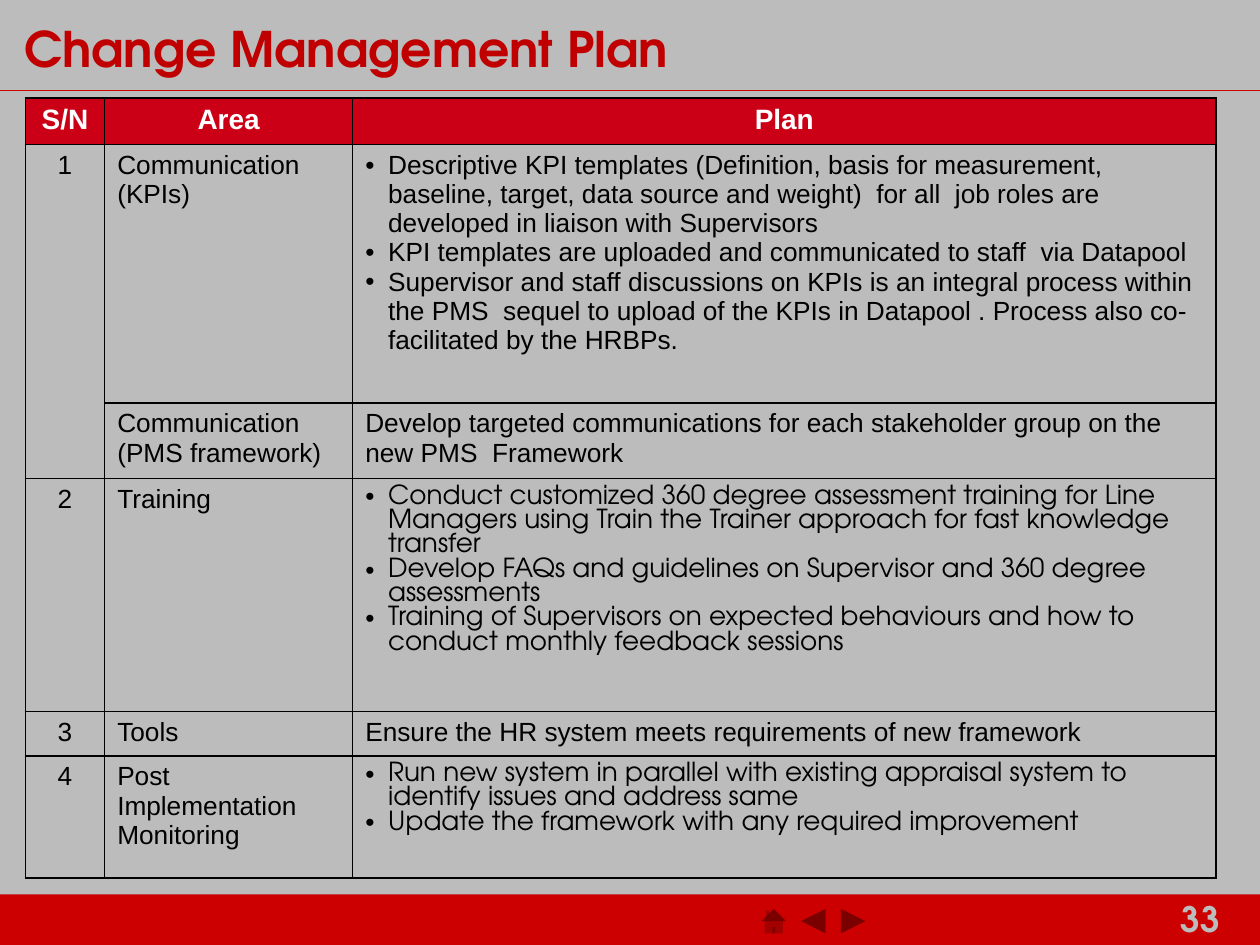
from dataclasses import dataclass

from lxml.etree import SubElement
from pptx import Presentation
from pptx.dml.color import RGBColor
from pptx.enum.shapes import MSO_CONNECTOR, MSO_SHAPE
from pptx.enum.text import MSO_ANCHOR, PP_ALIGN
from pptx.oxml import parse_xml
from pptx.oxml.ns import nsdecls, qn
from pptx.util import Cm, Pt

HUES = {
    "page": "BCBCBC",
    "bar": "CC0000",
    "title": "C00000",
    "head": "CB0017",
    "white": "FFFFFF",
    "black": "000000",
}
SANS = "Arial"
ROUND = "TeX Gyre Adventor"
COLS = (1.6, 5, 17.4)
BUTTONS = (
    MSO_SHAPE.ACTION_BUTTON_HOME,
    MSO_SHAPE.ACTION_BUTTON_FORWARD_OR_NEXT,
    MSO_SHAPE.ACTION_BUTTON_BACK_OR_PREVIOUS,
    MSO_SHAPE.ACTION_BUTTON_CUSTOM,
)


@dataclass
class Row:
    num: str
    area: str
    plan: tuple[str, ...]
    high: float
    font: str = SANS
    dots: bool = False
    head: bool = False


ROWS = (
    Row("S/N", "Area", ("Plan",), 0.91, head=True),
    Row("1", "Communication (KPIs)", (
        "Descriptive KPI templates (Definition, basis for measurement, baseline, "
        "target, data source and weight)  for all  job roles are developed in "
        "liaison with Supervisors",
        "KPI templates are uploaded and communicated to staff  via Datapool",
        "Supervisor and staff discussions on KPIs is an integral process within "
        "the PMS  sequel to upload of the KPIs in Datapool . Process also "
        "co-facilitated by the HRBPs.",
    ), 5.21, dots=True),
    Row("", "Communication (PMS framework)", (
        "Develop targeted communications for each stakeholder group on the new "
        "PMS  Framework",
    ), 1.5),
    Row("2", "Training", (
        "Conduct customized 360 degree assessment training for Line Managers "
        "using Train the Trainer approach for fast knowledge transfer",
        "Develop FAQs and guidelines on Supervisor and 360 degree assessments",
        "Training of Supervisors on expected behaviours and how to conduct "
        "monthly feedback sessions",
    ), 4.6, ROUND, True),
    Row("3", "Tools", ("Ensure the HR system meets requirements of new framework",), 0.86),
    Row("4", "Post Implementation Monitoring", (
        "Run new system in parallel with existing appraisal system to identify "
        "issues and address same",
        "Update the framework with any required improvement",
    ), 2.46, ROUND, True),
)


def tint(name: str) -> RGBColor:
    return RGBColor.from_string(HUES[name])


def write(frame, *lines: str, font=SANS, size=15, hue="black", bold=False,
          align=PP_ALIGN.LEFT, dots=False, lead=None) -> None:
    frame.word_wrap = True
    for i, line in enumerate(lines):
        para = frame.paragraphs[0] if i == 0 else frame.add_paragraph()
        para.alignment = align
        if lead:
            para.line_spacing = lead
        if dots:
            props = para._p.get_or_add_pPr()
            props.set("marL", str(Cm(0.46)))
            props.set("indent", str(-Cm(0.46)))
            SubElement(props, qn("a:buFont")).set("typeface", SANS)
            SubElement(props, qn("a:buChar")).set("char", "•")
        run = para.add_run()
        run.text = line
        run.font.name = font
        run.font.size = Pt(size)
        run.font.bold = bold
        run.font.color.rgb = tint(hue)


def block(slide, kind, left: float, top: float, wide: float, high: float):
    shape = slide.shapes.add_shape(kind, Cm(left), Cm(top), Cm(wide), Cm(high))
    shape.shadow.inherit = False
    shape.fill.solid()
    shape.fill.fore_color.rgb = tint("bar")
    shape.line.fill.background()
    return shape


def frame_cell(cell) -> None:
    props = cell._tc.get_or_add_tcPr()
    for i, side in enumerate(("lnL", "lnR", "lnT", "lnB")):
        props.insert(i, parse_xml(
            f'<a:{side} {nsdecls("a")} w="{Pt(1)}"><a:solidFill>'
            f'<a:srgbClr val="{HUES["black"]}"/></a:solidFill></a:{side}>'))


def fill_row(table, i: int, row: Row) -> None:
    table.rows[i].height = Cm(row.high)
    look = {"size": 16, "hue": "white", "bold": True} if row.head else {}
    mid = PP_ALIGN.CENTER
    side = mid if row.head else PP_ALIGN.LEFT
    num, area, plan = (table.cell(i, j) for j in range(len(COLS)))
    for cell in (num, area, plan):
        if row.head:
            cell.fill.solid()
            cell.fill.fore_color.rgb = tint("head")
        else:
            cell.fill.background()
        frame_cell(cell)
    if row.num:
        write(num.text_frame, row.num, align=mid, **look)
    write(area.text_frame, row.area, align=side, **look)
    write(plan.text_frame, *row.plan, align=side, font=row.font, dots=row.dots, **look)


def add_plan(slide) -> None:
    table = slide.shapes.add_table(
        len(ROWS), len(COLS), Cm(0.51), Cm(1.98),
        Cm(sum(COLS)), Cm(sum(row.high for row in ROWS))).table
    table.first_row = table.horz_banding = False
    for col, wide in zip(table.columns, COLS):
        col.width = Cm(wide)
    for i, row in enumerate(ROWS):
        fill_row(table, i, row)
    table.cell(1, 0).merge(table.cell(2, 0))


def add_base(slide) -> None:
    block(slide, MSO_SHAPE.RECTANGLE, 0, 18.03, 25.4, 1.02)
    box = slide.shapes.add_textbox(Cm(23.55), Cm(17.96), Cm(1.85), Cm(1.09))
    write(box.text_frame, "33", font=ROUND, size=20, hue="page", bold=True)
    for i, kind in enumerate(BUTTONS):
        shape = block(slide, kind, 15.27 + 0.8 * i, 18.15, 0.66, 0.84)
        shape._element.spPr.find(qn("a:xfrm")).set("flipH", "1")
    rule = slide.shapes.add_connector(
        MSO_CONNECTOR.STRAIGHT, 0, Cm(1.83), Cm(25.4), Cm(1.83))
    rule.line.color.rgb = tint("bar")
    rule.line.width = Pt(0.75)
    SubElement(rule._element.spPr, qn("a:effectLst"))


def add_title(slide) -> None:
    title = slide.shapes.title
    title.left, title.top, title.width, title.height = map(Cm, (0.23, 0.36, 18.9, 1.4))
    title.text_frame.vertical_anchor = MSO_ANCHOR.MIDDLE
    write(title.text_frame, "Change Management Plan", font=ROUND, size=28,
          hue="title", bold=True, lead=0.85)


def main() -> None:
    deck = Presentation()
    deck.slide_width, deck.slide_height = Cm(25.4), Cm(19.05)
    slide = deck.slides.add_slide(deck.slide_layouts[5])
    slide.background.fill.solid()
    slide.background.fill.fore_color.rgb = tint("page")
    add_base(slide)
    add_title(slide)
    add_plan(slide)
    deck.save("out.pptx")


if __name__ == "__main__":
    main()
